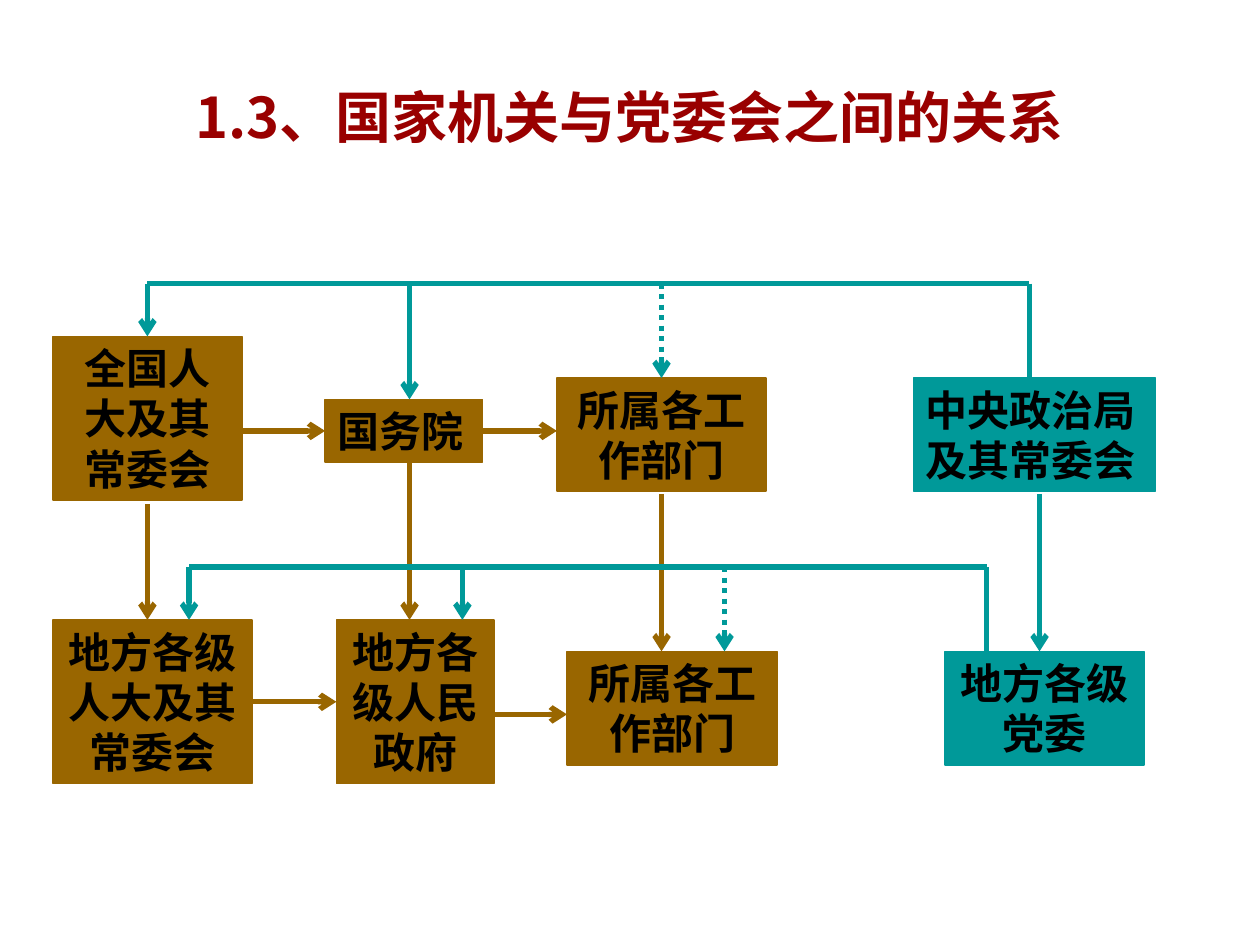
from dataclasses import dataclass
from typing import Optional

import pptx
import pptx.dml.color
import pptx.enum.dml
import pptx.enum.shapes
import pptx.enum.text
import pptx.oxml.ns
import pptx.util
from lxml import etree

Inches = pptx.util.Inches
Align = pptx.enum.text.PP_ALIGN
TOP, LEFT, BOTTOM, RIGHT = range(4)


@dataclass(frozen=True)
class Theme:
    state: str = "996600"
    party: str = "009999"
    title: str = "990000"
    text: str = "000000"
    body_font: str = "Times New Roman"
    title_font: str = "Noto Sans CJK SC"
    body_size: int = 24
    title_size: int = 32
    border_width: int = 1
    arrow_width: int = 3


THEME = Theme()


@dataclass(frozen=True)
class Organ:
    key: str
    text: str
    left: float
    top: float
    width: float
    height: float
    color: str = THEME.state
    align: Align = Align.CENTER


@dataclass(frozen=True)
class Joint:
    key: str
    side: int


@dataclass(frozen=True)
class Link:
    start: tuple[float, float]
    end: tuple[float, float]
    color: str = THEME.state
    arrow: bool = True
    dotted: bool = False
    begin_joint: Optional[Joint] = None
    end_joint: Optional[Joint] = None


@dataclass(frozen=True)
class Drop:
    x: float
    bottom: float
    dotted: bool = False
    joint: Optional[Joint] = None


ORGANS = [
    Organ("congress", "全国人\n大及其\n常委会", 0.42, 2.67, 1.5, 1.3),
    Organ("local congress", "地方各级人大及其常委会", 0.42, 4.92, 1.58, 1.3),
    Organ("council", "国务院", 2.58, 3.17, 1.25, 0.5, align=Align.LEFT),
    Organ("local government", "地方各级人民政府", 2.67, 4.92, 1.25, 1.3),
    Organ("departments", "所属各工作部门", 4.42, 3, 1.66, 0.9),
    Organ("local departments", "所属各工作部门", 4.5, 5.17, 1.67, 0.9),
    Organ("politburo", "中央政治局及其常委会", 7.25, 3, 1.92, 0.9, THEME.party, Align.LEFT),
    Organ("local party", "地方各级党委", 7.5, 5.17, 1.58, 0.9, THEME.party),
]

LINKS = [
    Link((1.92, 3.42), (2.58, 3.42), end_joint=Joint("council", LEFT)),
    Link((2, 5.57), (2.67, 5.57), begin_joint=Joint("local congress", RIGHT),
         end_joint=Joint("local government", LEFT)),
    Link((3.83, 3.42), (4.42, 3.42), begin_joint=Joint("council", RIGHT)),
    Link((3.92, 5.67), (4.5, 5.67)),
    Link((1.17, 4), (1.17, 4.92)),
    Link((3.25, 3.67), (3.25, 4.92)),
    Link((5.25, 3.92), (5.25, 5.17)),
    Link((8.25, 3.92), (8.25, 5.17), THEME.party),
]


def party_bus(y: float, source: tuple[float, float], drops: list[Drop]) -> list[Link]:
    source_x, source_y = source
    rails = [
        Link((drops[0].x, y), (source_x, y), THEME.party, arrow=False),
        Link((source_x, y), (source_x, source_y), THEME.party, arrow=False),
    ]
    return rails + [
        Link((drop.x, y), (drop.x, drop.bottom), THEME.party,
             dotted=drop.dotted, end_joint=drop.joint)
        for drop in drops
    ]


BUSES = party_bus(2.25, (8.17, 3), [
    Drop(1.17, 2.67, joint=Joint("congress", TOP)),
    Drop(3.25, 3.17),
    Drop(5.25, 3, dotted=True, joint=Joint("departments", TOP)),
]) + party_bus(4.5, (7.83, 5.17), [
    Drop(1.5, 4.92),
    Drop(3.67, 4.92),
    Drop(5.75, 5.17, dotted=True),
])


def rgb(color: str) -> pptx.dml.color.RGBColor:
    return pptx.dml.color.RGBColor.from_string(color)


def apply_format(target, values: dict) -> None:
    for name, value in values.items():
        setattr(target, name, value)


def format_font(paragraph, name: str, size: int, color: str) -> None:
    apply_format(paragraph.font, {"name": name, "size": pptx.util.Pt(size), "bold": True})
    paragraph.font.color.rgb = rgb(color)


def format_frame(frame, anchor) -> None:
    apply_format(frame, {
        "word_wrap": True,
        "vertical_anchor": anchor,
        "margin_left": Inches(0.1),
        "margin_right": Inches(0.1),
        "margin_top": Inches(0.05),
        "margin_bottom": Inches(0.05),
    })


def draw_title(slide, text: str) -> None:
    shape = slide.shapes.title
    apply_format(shape, {"left": Inches(0.5), "top": Inches(0.3),
                         "width": Inches(9), "height": Inches(1.25)})
    format_frame(shape.text_frame, pptx.enum.text.MSO_ANCHOR.MIDDLE)
    shape.text_frame.text = text
    paragraph = shape.text_frame.paragraphs[0]
    paragraph.alignment = Align.CENTER
    format_font(paragraph, THEME.title_font, THEME.title_size, THEME.title)


def draw_organ(slide, organ: Organ):
    shape = slide.shapes.add_shape(
        pptx.enum.shapes.MSO_SHAPE.RECTANGLE,
        Inches(organ.left), Inches(organ.top), Inches(organ.width), Inches(organ.height))
    shape.shadow.inherit = False
    shape.fill.solid()
    shape.fill.fore_color.rgb = rgb(organ.color)
    shape.line.color.rgb = rgb(organ.color)
    shape.line.width = pptx.util.Pt(THEME.border_width)
    frame = shape.text_frame
    format_frame(frame, pptx.enum.text.MSO_ANCHOR.TOP)
    frame.auto_size = pptx.enum.text.MSO_AUTO_SIZE.SHAPE_TO_FIT_TEXT
    frame.text = organ.text
    for paragraph in frame.paragraphs:
        paragraph.alignment = organ.align
        format_font(paragraph, THEME.body_font, THEME.body_size, THEME.text)
    return shape


def draw_link(slide, link: Link, organs: dict) -> None:
    connector = slide.shapes.add_connector(
        pptx.enum.shapes.MSO_CONNECTOR.STRAIGHT,
        *(Inches(value) for value in link.start + link.end))
    if link.begin_joint:
        connector.begin_connect(organs[link.begin_joint.key], link.begin_joint.side)
    if link.end_joint:
        connector.end_connect(organs[link.end_joint.key], link.end_joint.side)
    connector.line.color.rgb = rgb(link.color)
    connector.line.width = pptx.util.Pt(THEME.arrow_width)
    if link.dotted:
        connector.line.dash_style = pptx.enum.dml.MSO_LINE.ROUND_DOT
    qualified = pptx.oxml.ns.qn
    properties = connector._element.spPr
    if link.arrow:
        etree.SubElement(properties.find(qualified("a:ln")), qualified("a:tailEnd"), type="arrow")
    etree.SubElement(properties, qualified("a:effectLst"))


def main() -> None:
    presentation = pptx.Presentation()
    apply_format(presentation, {"slide_width": Inches(10), "slide_height": Inches(7.5)})
    slide = presentation.slides.add_slide(presentation.slide_layouts[5])
    draw_title(slide, "1.3、国家机关与党委会之间的关系")
    organs = {organ.key: draw_organ(slide, organ) for organ in ORGANS}
    for link in LINKS + BUSES:
        draw_link(slide, link, organs)
    presentation.save("out.pptx")


if __name__ == "__main__":
    main()
